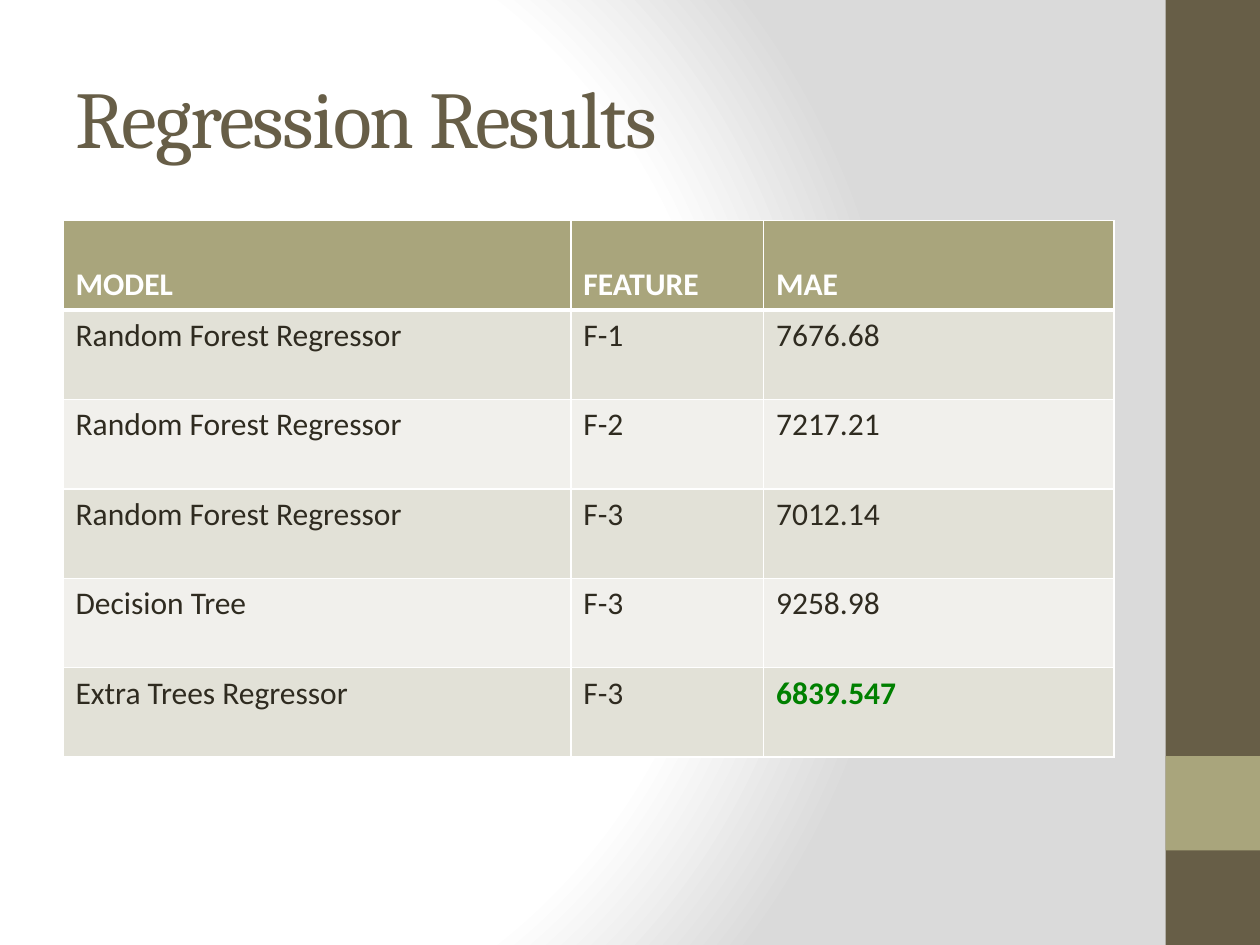
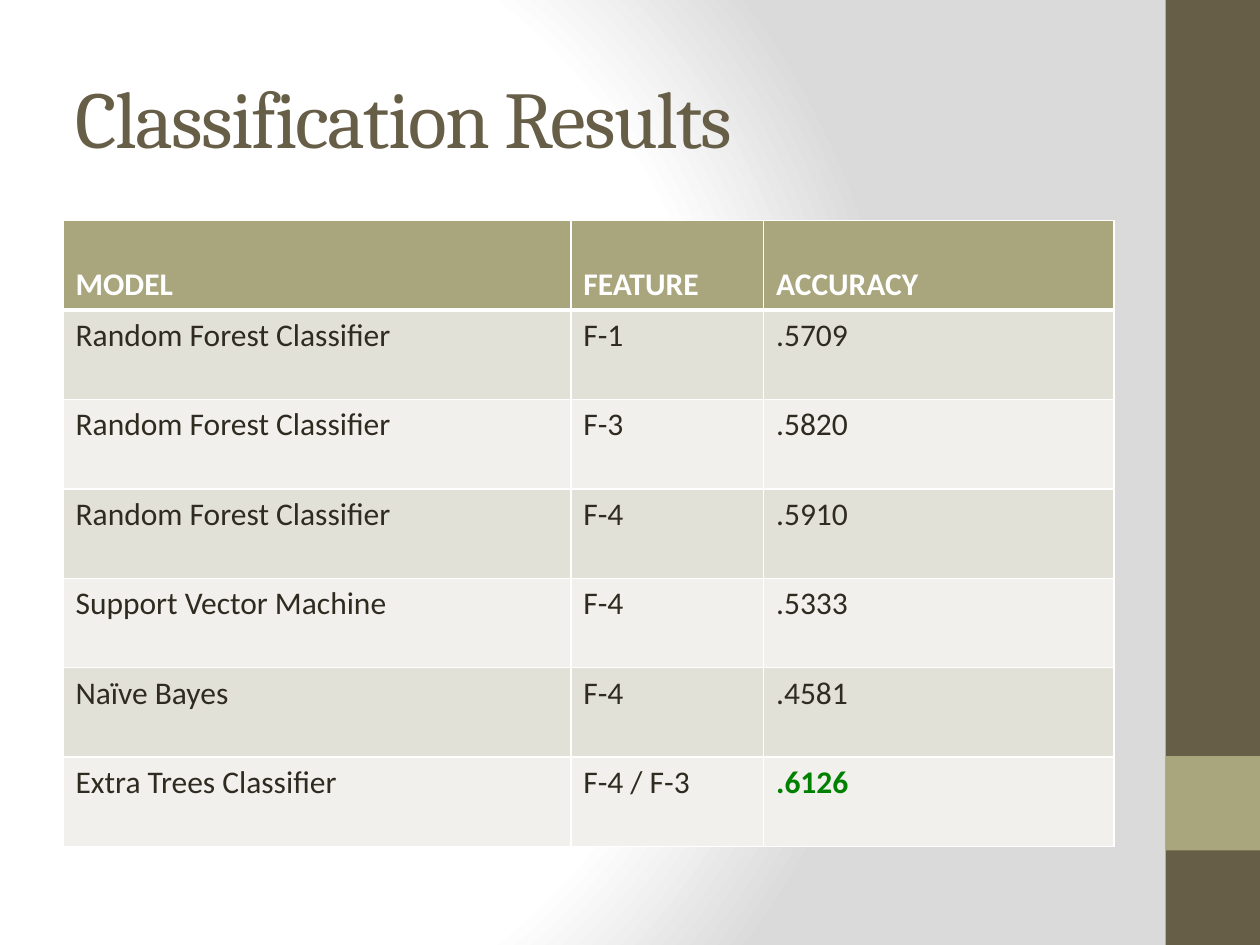
"""Build two slides that compare model results in tables."""
from dataclasses import dataclass

from lxml.etree import SubElement
from pptx import Presentation
from pptx.dml.color import RGBColor
from pptx.enum.shapes import MSO_SHAPE
from pptx.enum.text import MSO_ANCHOR
from pptx.oxml import parse_xml
from pptx.oxml.ns import nsdecls, qn
from pptx.util import Inches, Pt

SLIDES = [
    ("Regression Results", [
        ("MODEL", "FEATURE", "MAE"),
        ("Random Forest Regressor", "F-1", "7676.68"),
        ("Random Forest Regressor", "F-2", "7217.21"),
        ("Random Forest Regressor", "F-3", "7012.14"),
        ("Decision Tree", "F-3", "9258.98"),
        ("Extra Trees Regressor", "F-3", "6839.547"),
    ]),
    ("Classification Results", [
        ("MODEL", "FEATURE", "ACCURACY"),
        ("Random Forest Classifier", "F-1", ".5709"),
        ("Random Forest Classifier", "F-3", ".5820"),
        ("Random Forest Classifier", "F-4", ".5910"),
        ("Support Vector Machine", "F-4", ".5333"),
        ("Naïve Bayes", "F-4", ".4581"),
        ("Extra Trees Classifier", "F-4 / F-3", ".6126"),
    ]),
]


@dataclass(frozen=True)
class Theme:
    """Colours, fonts and type sizes."""
    brown: str = "675E47"
    olive: str = "A9A57C"
    white: str = "FFFFFF"
    grey: str = "DADADA"
    ink: str = "2F2B20"
    green: str = "008000"
    bands: tuple = ("E2E1D7", "F1F0EC")
    head: str = "Cambria"
    body: str = "Calibri"
    big: int = 46
    text: int = 18


LOOK = Theme()
LEFT, WIDE, TOP, ROW = 0.5, 8.33, 1.75, 0.71
COLS = (4.03, 1.53, 2.78)
SIDE = [((9.25, 0, 0.75, 7.5), LOOK.brown), ((9.25, 6, 0.75, 0.75), LOOK.olive)]
TITLE = {"name": LOOK.head, "size": Pt(LOOK.big), "bold": False}
CELL = {"name": LOOK.body, "size": Pt(LOOK.text)}


def box(*nums):
    return [Inches(num) for num in nums]


def write(frame, text, color, style):
    run = frame.paragraphs[0].add_run()
    run.text = text
    for key, val in style.items():
        setattr(run.font, key, val)
    run.font.color.rgb = RGBColor.from_string(color)
    return run


def paint(item, color):
    item.fill.solid()
    item.fill.fore_color.rgb = RGBColor.from_string(color)


def set_back(master):
    master.background.fill.solid()
    props = master.element.find(".//" + qn("p:bgPr"))
    stops = [(0, LOOK.white), (75, LOOK.white), (100, LOOK.grey)]
    marks = "".join(f'<a:gs pos="{pos * 1000}"><a:srgbClr val="{color}"/></a:gs>'
                    for pos, color in stops)
    blend = parse_xml(
        f'<a:gradFill {nsdecls("a")} rotWithShape="1"><a:gsLst>{marks}</a:gsLst>'
        '<a:path path="circle"><a:fillToRect l="20000" t="50000" r="100000" b="50000"/>'
        '</a:path></a:gradFill>')
    props.replace(props[0], blend)


def add_side(slide):
    for place, color in SIDE:
        bar = slide.shapes.add_shape(MSO_SHAPE.RECTANGLE, *box(*place))
        bar.shadow.inherit = False
        bar.line.fill.background()
        paint(bar, color)


def add_title(slide, text):
    frame = slide.shapes.add_textbox(*box(LEFT, 0.3, WIDE, 1.25)).text_frame
    frame.word_wrap = True
    frame.vertical_anchor = MSO_ANCHOR.MIDDLE
    run = write(frame, text, LOOK.brown, TITLE)
    run.font._element.set("spc", "-100")


def edge(cell, row):
    props = cell._tc.get_or_add_tcPr()
    widths = {"L": 1, "R": 1, "T": 3 if row == 1 else 1, "B": 3 if row == 0 else 1}
    for side, width in widths.items():
        line = SubElement(props, qn(f"a:ln{side}"), w=str(Pt(width)))
        fill = SubElement(line, qn("a:solidFill"))
        SubElement(fill, qn("a:srgbClr"), val=LOOK.white)


def add_grid(slide, rows):
    place = box(LEFT, TOP, WIDE, ROW * len(rows))
    table = slide.shapes.add_table(len(rows), len(COLS), *place).table
    for col, width in zip(table.columns, COLS):
        col.width = Inches(width)
    for r, row in enumerate(rows):
        table.rows[r].height = Inches(ROW)
        for c, text in enumerate(row):
            cell = table.cell(r, c)
            head = r == 0
            best = r == len(rows) - 1 and c == len(COLS) - 1
            color = LOOK.white if head else LOOK.green if best else LOOK.ink
            edge(cell, r)
            paint(cell, LOOK.olive if head else LOOK.bands[(r - 1) % 2])
            cell.vertical_anchor = MSO_ANCHOR.BOTTOM if head else MSO_ANCHOR.TOP
            write(cell.text_frame, text, color, {**CELL, "bold": head or best})


def main():
    deck = Presentation()
    deck.slide_width, deck.slide_height = box(10, 7.5)
    set_back(deck.slide_master)
    for title, rows in SLIDES:
        slide = deck.slides.add_slide(deck.slide_layouts[6])
        add_side(slide)
        add_title(slide, title)
        add_grid(slide, rows)
    deck.save("out.pptx")


if __name__ == "__main__":
    main()
